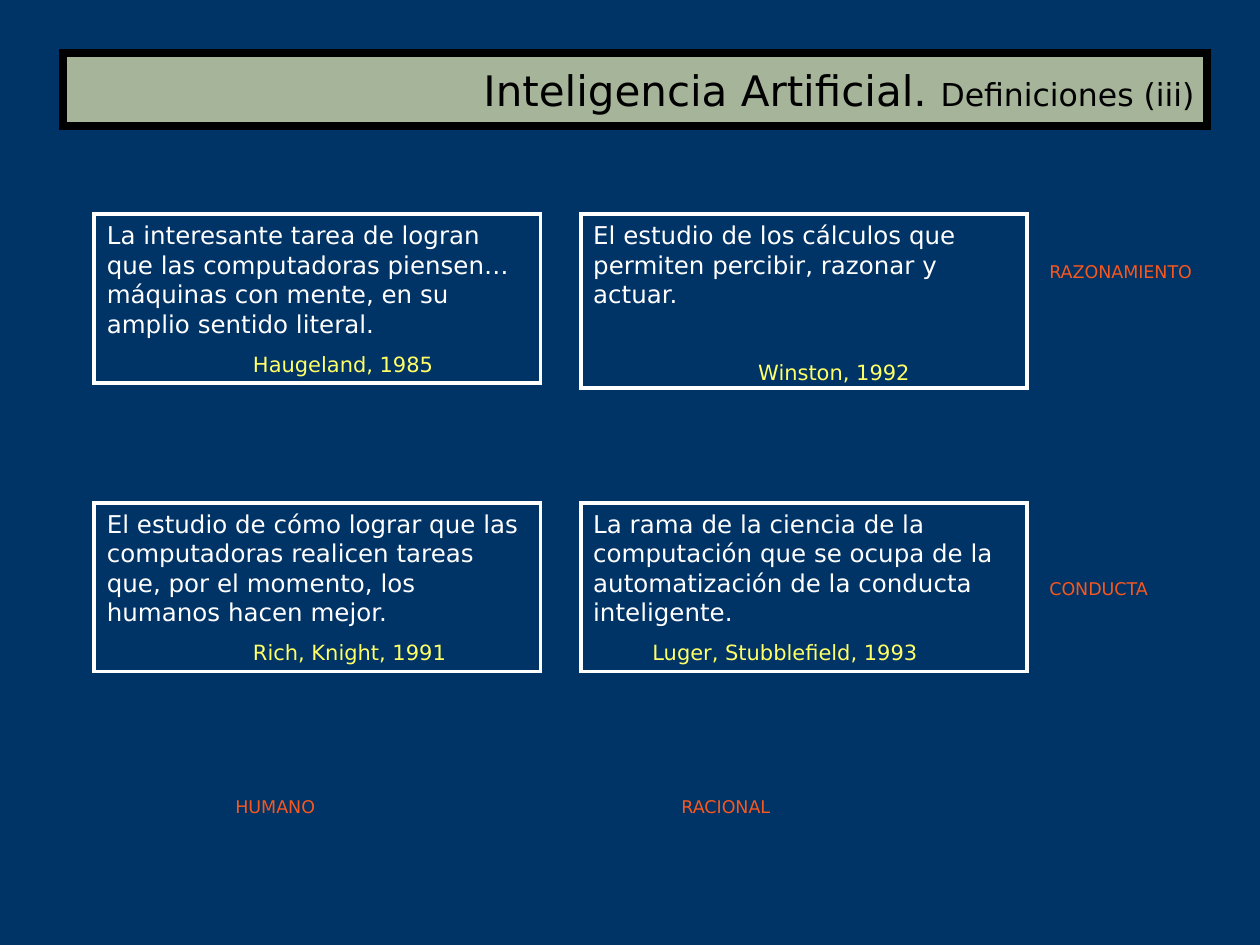
from lxml import etree
from pptx import Presentation
from pptx import util as u
from pptx.dml import color
from pptx.enum import shapes, text
from pptx.oxml import ns

COLUMNS, ROWS = 100, 75
CELL = u.Inches(0.1)
FONT = "DejaVu Sans"
NAVY, SAGE, BLACK, WHITE = "003366", "A6B599", "000000", "FFFFFF"
YELLOW, ORANGE = "FFFF66", "F8571E"

DEFINITIONS = [
    [
        ("La interesante tarea de logran que las computadoras piensen… "
         "máquinas con mente, en su amplio sentido literal.",
         "Haugeland, 1985", 11.6, 7.5, 13.4),
        ("El estudio de los cálculos que permiten percibir, razonar y actuar.",
         "Winston, 1992", 13.1, 29, 13.8),
    ],
    [
        ("El estudio de cómo lograr que las computadoras realicen tareas que, "
         "por el momento, los humanos hacen mejor.",
         "Rich, Knight, 1991", 11.6, 7.5, 13.4),
        ("La rama de la ciencia de la computación que se ocupa de la "
         "automatización de la conducta inteligente.",
         "Luger, Stubblefield, 1993", 4.7, 7.5, 13.4),
    ],
]
LABELS = [
    ("HUMANO", (17.7, 62.7, 13.4, 2.7)),
    ("RACIONAL", (53.1, 62.7, 15.8, 2.7)),
    ("CONDUCTA", (82.3, 45.4, 16.5, 2.7)),
    ("RAZONAMIENTO", (82.3, 20.2, 22, 2.7)),
]


def rgb(value):
    return color.RGBColor.from_string(value)


def cells(*counts):
    return [u.Emu(round(count * CELL)) for count in counts]


def write(para, words, size, tint):
    span = para.add_run()
    span.text = words
    span.font.name = FONT
    span.font.size = u.Pt(size)
    span.font.color.rgb = rgb(tint)


def add_panel(parent, kind, area, fill, line, width):
    box = parent.add_shape(kind, *cells(*area))
    box.shadow.inherit = False
    if fill:
        box.fill.solid()
        box.fill.fore_color.rgb = rgb(fill)
    else:
        box.fill.background()
    box.line.color.rgb = rgb(line)
    box.line.width = u.Pt(width)
    outline = box.line._get_or_add_ln()
    etree.SubElement(outline, ns.qn("a:miter")).set("lim", "800000")
    box.text_frame.word_wrap = True
    box.text_frame.vertical_anchor = text.MSO_ANCHOR.TOP
    return box


def add_title(page, area):
    box = add_panel(page.shapes, shapes.MSO_SHAPE.FLOWCHART_PROCESS, area,
                    SAGE, BLACK, 4.5)
    box.text_frame.vertical_anchor = text.MSO_ANCHOR.MIDDLE
    para = box.text_frame.paragraphs[0]
    para.alignment = text.PP_ALIGN.RIGHT
    write(para, "Inteligencia Artificial. ", 24, BLACK)
    write(para, "Definiciones (iii)", 18, BLACK)


def add_definition(parent, area, quote, author, indent, gap):
    box = add_panel(parent, shapes.MSO_SHAPE.RECTANGLE, area, None, WHITE, 2.25)
    para = box.text_frame.paragraphs[0]
    para.alignment = text.PP_ALIGN.LEFT
    write(para, quote, 14, WHITE)
    para = box.text_frame.add_paragraph()
    para.alignment = text.PP_ALIGN.LEFT
    para.space_before = u.Pt(gap)
    para._p.get_or_add_pPr().set("marL", str(cells(indent)[0]))
    write(para, author, 12, YELLOW)


def add_matrix(page, area):
    left, top, width, height = area
    box_width = 35.4
    column_step = width - box_width
    row_step = height - 13.4
    group = page.shapes.add_group_shape()
    for row, definitions in enumerate(DEFINITIONS):
        for column, (quote, author, indent, gap, tall) in enumerate(definitions):
            place = (left + column * column_step, top + row * row_step,
                     box_width, tall)
            add_definition(group.shapes, place, quote, author, indent, gap)


def add_label(page, area, words):
    box = page.shapes.add_textbox(*cells(*area))
    box.text_frame.word_wrap = True
    write(box.text_frame.paragraphs[0], words, 10, ORANGE)


def main():
    deck = Presentation()
    deck.slide_width, deck.slide_height = cells(COLUMNS, ROWS)
    page = deck.slides.add_slide(deck.slide_layouts[6])
    page.background.fill.solid()
    page.background.fill.fore_color.rgb = rgb(NAVY)
    add_title(page, (5, 4.2, 90.8, 5.8))
    add_matrix(page, (7.5, 17, 74, 36.3))
    for words, area in LABELS:
        add_label(page, area, words)
    deck.save("out.pptx")


if __name__ == "__main__":
    main()
